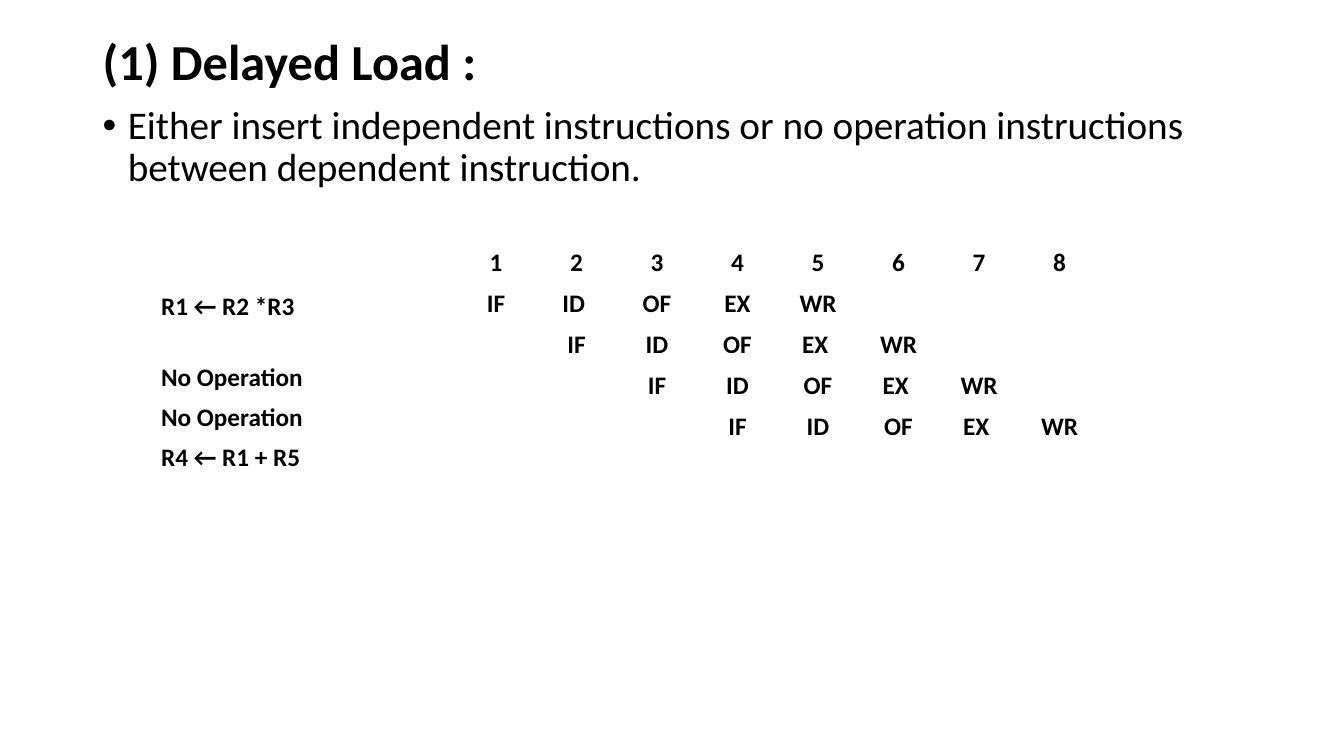
from pptx import Presentation
from pptx.dml.color import RGBColor
from pptx.enum.text import MSO_ANCHOR, PP_ALIGN
from pptx.oxml.xmlchemy import OxmlElement
from pptx.util import Emu, Pt

COLORS = {"text": "000000"}
FONT = "Calibri"
CYCLES = 8
STAGES = [
    ["IF", "ID ", "OF", "EX", "WR"],
    *[["IF", "ID", "OF", "EX ", "WR"]] * 3,
]
INSTRUCTIONS = ["R1 ← R2 *R3", "No Operation", "No Operation", "R4 ← R1 + R5"]


def px(length):
    """Turn px, at 100 to the inch, into EMU."""
    return Emu(length * 9144)


def style(paragraph, size, bold=False):
    """Format every run of a paragraph."""
    for run in paragraph.runs:
        run.font.name = FONT
        run.font.size = Pt(size)
        run.font.bold = bold
        run.font.color.rgb = RGBColor.from_string(COLORS["text"])


def add_text(slide, box, lines, size, bold=False):
    """Add a wrapping text box with one paragraph per line."""
    frame = slide.shapes.add_textbox(*map(px, box)).text_frame
    frame.word_wrap = True
    frame.text = "\n".join(lines)
    for paragraph in frame.paragraphs:
        style(paragraph, size, bold)
    return frame


def add_title(slide, box):
    """Add the heading, centred vertically in its box."""
    heading = add_text(slide, box, ["(1) Delayed Load :"], 36, True)
    heading.vertical_anchor = MSO_ANCHOR.MIDDLE
    heading.paragraphs[0].line_spacing = 0.9


def add_explanation(slide, box):
    """Add the bulleted explanation with a hanging indent."""
    explanation = add_text(slide, box, [
        "Either insert independent instructions or no operation instructions "
        "between dependent instruction."], 28).paragraphs[0]
    explanation.line_spacing = 0.9
    explanation.space_before = Pt(10)
    properties = explanation._p.get_or_add_pPr()
    properties.set("marL", str(px(25)))
    properties.set("indent", str(px(-25)))
    bullet_font = OxmlElement("a:buFont")
    bullet_font.set("typeface", "Arial")
    bullet = OxmlElement("a:buChar")
    bullet.set("char", "•")
    properties.extend([bullet_font, bullet])


def add_instructions(slide, box):
    """List the instructions, with a wider gap after the first."""
    listing = add_text(slide, box, INSTRUCTIONS, 18, True)
    for index, instruction in enumerate(listing.paragraphs):
        instruction._p.get_or_add_pPr().set("marL", str(px(50)))
        if index:
            instruction.space_before = Pt(29 if index == 1 else 7)


def add_pipeline(slide, box):
    """Add the timing table, each row starting one cycle later."""
    rows = [[str(cycle + 1) for cycle in range(CYCLES)]]
    for delay, stages in enumerate(STAGES):
        rows.append(([""] * delay + stages + [""] * CYCLES)[:CYCLES])
    pipeline = slide.shapes.add_table(len(rows), CYCLES, *map(px, box)).table
    pipeline.first_row = False
    pipeline.horz_banding = False
    for column in pipeline.columns:
        column.width = px(box[2]) // CYCLES
    for row, stages in zip(pipeline.rows, rows):
        row.height = px(box[3]) // len(rows)
        for cell, stage in zip(row.cells, stages):
            cell.fill.background()
            cell.text = stage
            label = cell.text_frame.paragraphs[0]
            label.alignment = PP_ALIGN.CENTER
            style(label, 18, True)


def main():
    """Build and save the slide."""
    deck = Presentation()
    deck.slide_width, deck.slide_height = px(1333), px(750)
    slide = deck.slides.add_slide(deck.slide_layouts[6])
    add_title(slide, (92, 40, 1150, 48))
    add_explanation(slide, (92, 100, 1189, 620))
    add_instructions(slide, (100, 283, 323, 168))
    add_pipeline(slide, (452, 241, 639, 203))
    deck.save("out.pptx")


if __name__ == "__main__":
    main()
